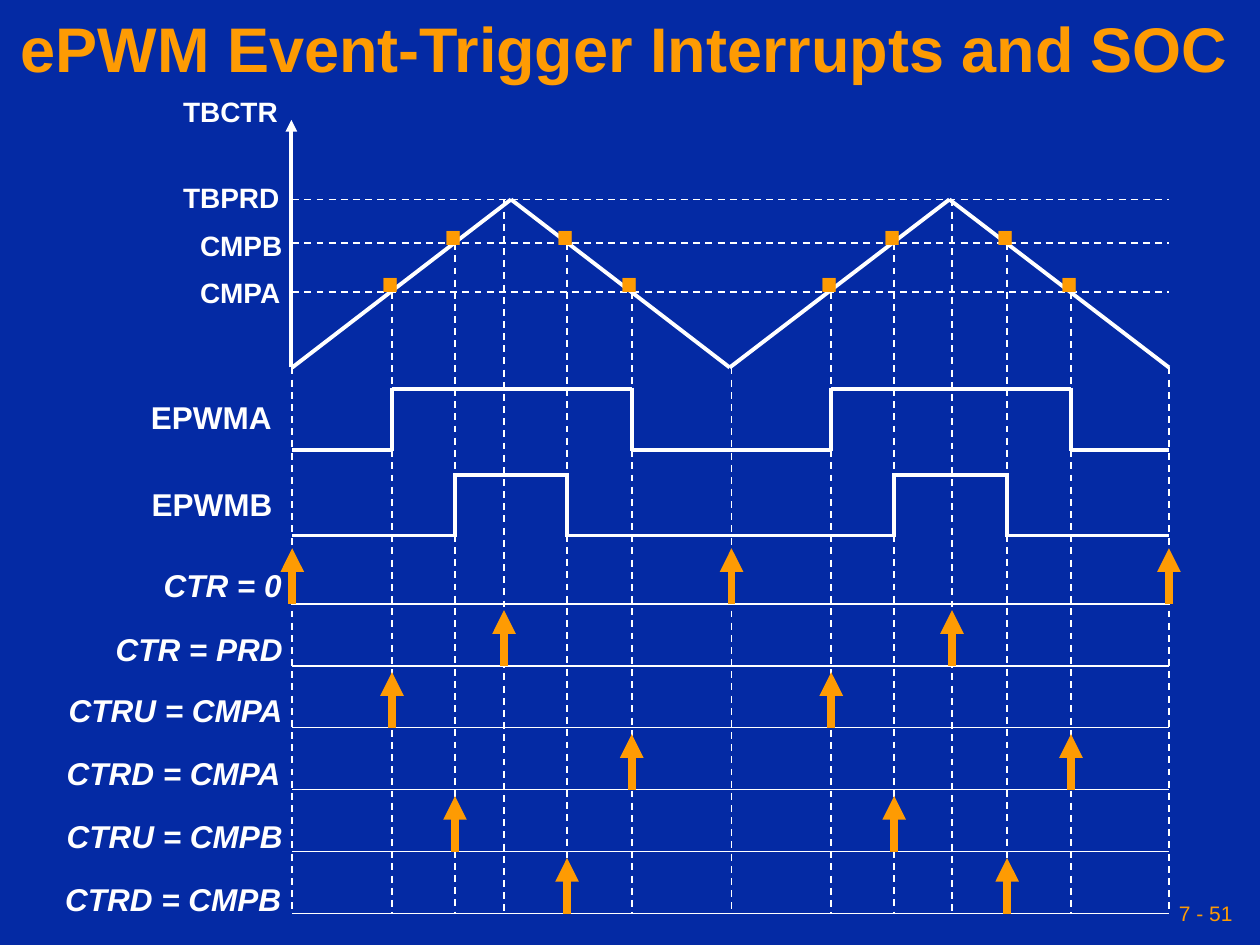
"""Build the ePWM event-trigger timing diagram slide."""
import itertools
from dataclasses import dataclass
from typing import Sequence

import lxml.etree
import pptx
import pptx.dml.color
import pptx.enum.dml
import pptx.enum.shapes
import pptx.enum.text
import pptx.oxml.ns
import pptx.slide
import pptx.text.text
import pptx.util

Pt = pptx.util.Pt


@dataclass(frozen=True)
class Theme:
    font: str = "Arial"
    background: str = "042AA4"
    accent: str = "FE9B03"
    ink: str = "FFFFFF"
    title_size: float = 36
    level_size: float = 16
    signal_size: float = 18
    dot_size: float = 54
    number_size: float = 12
    thin: float = 1
    thick: float = 2.25
    arrow: float = 4.5


THEME = Theme()


@dataclass(frozen=True)
class Label:
    text: str
    left: float
    top: float
    width: float
    size: float
    height: float = 24
    color: str = THEME.ink
    italic: bool = False


@dataclass(frozen=True)
class Guide:
    top: float
    columns: tuple[float, ...]


@dataclass(frozen=True)
class Pulse:
    low: float
    high: float
    edges: tuple[float, ...]


@dataclass(frozen=True)
class EventRow:
    label: Label
    columns: tuple[float, ...]


START, END = 167, 668
PERIOD, COMPARE_B, COMPARE_A, ZERO = 114, 139, 167, 210
GUIDE_BOTTOM = 521.5
FIRST_ROW, ROW_STEP, ARROW_LENGTH = 345, 35.4, 31.7
ZEROS = (START, 418, END)
PEAKS = (288, 544)
A_UP, A_DOWN = (224, 475), (361, 612)
B_UP, B_DOWN = (260, 511), (324, 575.5)

GUIDES = (
    Guide(PERIOD, PEAKS),
    Guide(COMPARE_B, B_UP + B_DOWN),
    Guide(COMPARE_A, A_UP + A_DOWN),
    Guide(ZERO, ZEROS),
)
COUNTER = ((START, ZERO), (292, PERIOD), (417, ZERO), (542.5, PERIOD), (END, ZERO))
PULSES = (
    Pulse(257, 222.5, tuple(sorted(A_UP + A_DOWN))),
    Pulse(306, 271.5, tuple(sorted(B_UP + B_DOWN))),
)
LABELS = (
    Label("TBCTR", 97.6, 54, 72, THEME.level_size),
    Label("TBPRD", 97.6, 103.5, 72, THEME.level_size),
    Label("CMPB", 107.3, 130.5, 64, THEME.level_size),
    Label("CMPA", 107.3, 157.5, 64, THEME.level_size),
    Label("EPWMA", 79.2, 227.8, 86, THEME.signal_size),
    Label("EPWMB", 79.6, 277.5, 86, THEME.signal_size),
)


def event_label(text: str, left: float, top: float, width: float) -> Label:
    return Label(text, left, top, width, THEME.signal_size, italic=True)


EVENT_ROWS = (
    EventRow(event_label("CTR = 0", 86.4, 324, 85), ZEROS),
    EventRow(event_label("CTR = PRD", 59, 360.7, 113), PEAKS),
    EventRow(event_label("CTRU = CMPA", 32.2, 395.5, 141), A_UP),
    EventRow(event_label("CTRD = CMPA", 31, 431.3, 141), A_DOWN),
    EventRow(event_label("CTRU = CMPB", 31, 467.3, 141), B_UP),
    EventRow(event_label("CTRD = CMPB", 30.2, 503.3, 141), B_DOWN),
)


def rgb(color: str) -> pptx.dml.color.RGBColor:
    return pptx.dml.color.RGBColor.from_string(color)


def format_text(text_frame: pptx.text.text.TextFrame, text: str, size: float,
                color: str, bold: bool = True, italic: bool = False) -> None:
    text_frame.text = text
    font = text_frame.paragraphs[0].runs[0].font
    font.name, font.size, font.bold, font.italic = THEME.font, Pt(size), bold, italic
    font.color.rgb = rgb(color)


def set_narrow_margins(text_frame: pptx.text.text.TextFrame) -> None:
    text_frame.margin_left = text_frame.margin_right = Pt(3.6)
    text_frame.margin_top = text_frame.margin_bottom = Pt(3.6)
    text_frame.vertical_anchor = pptx.enum.text.MSO_ANCHOR.MIDDLE


def draw_label(slide: pptx.slide.Slide, label: Label) -> None:
    shape = slide.shapes.add_textbox(
        Pt(label.left), Pt(label.top), Pt(label.width), Pt(label.height))
    text_frame = shape.text_frame
    text_frame.word_wrap = True
    text_frame.auto_size = pptx.enum.text.MSO_AUTO_SIZE.SHAPE_TO_FIT_TEXT
    format_text(text_frame, label.text, label.size, label.color, italic=label.italic)
    text_frame.paragraphs[0].line_spacing = 0.8


def draw_line(slide: pptx.slide.Slide, start: tuple[float, float],
              end: tuple[float, float], width: float, color: str = THEME.ink,
              dashed: bool = False, arrow: bool = False) -> None:
    connector = slide.shapes.add_connector(
        pptx.enum.shapes.MSO_CONNECTOR.STRAIGHT,
        *(Pt(value) for value in start + end))
    connector.line.width = Pt(width)
    connector.line.color.rgb = rgb(color)
    if dashed:
        connector.line.dash_style = pptx.enum.dml.MSO_LINE.DASH
    properties = connector._element.spPr
    qualified = pptx.oxml.ns.qn
    if arrow:
        outline = properties.find(qualified("a:ln"))
        lxml.etree.SubElement(outline, qualified("a:tailEnd"), type="triangle")
    lxml.etree.SubElement(properties, qualified("a:effectLst"))


def draw_wave(slide: pptx.slide.Slide, points: Sequence[tuple[float, float]]) -> None:
    for start, end in itertools.pairwise(points):
        draw_line(slide, start, end, THEME.thick)


def draw_pulse(slide: pptx.slide.Slide, pulse: Pulse) -> None:
    bounds = itertools.pairwise((START, *pulse.edges, END))
    for (left, right), level in zip(bounds, itertools.cycle((pulse.low, pulse.high))):
        draw_line(slide, (left, level), (right, level), THEME.thick)
    for edge in pulse.edges:
        draw_line(slide, (edge, pulse.high - 1), (edge, pulse.low + 1), THEME.thick)


def draw_event_row(slide: pptx.slide.Slide, row: EventRow, baseline: float) -> None:
    draw_line(slide, (START, baseline), (END, baseline), THEME.thin)
    draw_label(slide, row.label)
    for column in row.columns:
        draw_line(slide, (column, baseline), (column, baseline - ARROW_LENGTH),
                  THEME.arrow, THEME.accent, arrow=True)


def draw_title(slide: pptx.slide.Slide) -> None:
    title = slide.shapes.title
    title.left, title.top, title.width, title.height = Pt(0), Pt(0), Pt(714), Pt(60)
    set_narrow_margins(title.text_frame)
    format_text(title.text_frame, "ePWM Event-Trigger Interrupts and SOC",
                THEME.title_size, THEME.accent)
    paragraph = title.text_frame.paragraphs[0]
    paragraph.alignment = pptx.enum.text.PP_ALIGN.CENTER
    paragraph.line_spacing = 0.9


def draw_page_number(slide: pptx.slide.Slide) -> None:
    shape = slide.shapes.add_textbox(Pt(492), Pt(510), Pt(216), Pt(24))
    shape.text_frame.word_wrap = False
    set_narrow_margins(shape.text_frame)
    format_text(shape.text_frame, "7 - 51", THEME.number_size, THEME.accent, bold=False)
    shape.text_frame.paragraphs[0].alignment = pptx.enum.text.PP_ALIGN.RIGHT


def main() -> None:
    presentation = pptx.Presentation()
    presentation.slide_width, presentation.slide_height = Pt(720), Pt(540)
    slide = presentation.slides.add_slide(presentation.slide_layouts[5])
    slide.background.fill.solid()
    slide.background.fill.fore_color.rgb = rgb(THEME.background)
    draw_title(slide)
    draw_page_number(slide)
    for level in (PERIOD, COMPARE_B, COMPARE_A):
        draw_line(slide, (START, level), (END, level), THEME.thin, dashed=True)
    for guide in GUIDES:
        for column in guide.columns:
            draw_line(slide, (column, guide.top), (column, GUIDE_BOTTOM),
                      THEME.thin, dashed=True)
    draw_line(slide, (166.5, ZERO), (166.5, 68.5), THEME.thick, arrow=True)
    draw_wave(slide, COUNTER)
    for columns, top in ((B_UP + B_DOWN, 95), (A_UP + A_DOWN, 122)):
        for column in columns:
            draw_label(slide, Label(".", column - 15.5, top, 30, THEME.dot_size,
                                    59, THEME.accent))
    for pulse in PULSES:
        draw_pulse(slide, pulse)
    for label in LABELS:
        draw_label(slide, label)
    for index, row in enumerate(EVENT_ROWS):
        draw_event_row(slide, row, FIRST_ROW + index * ROW_STEP)
    presentation.save("out.pptx")


if __name__ == "__main__":
    main()
